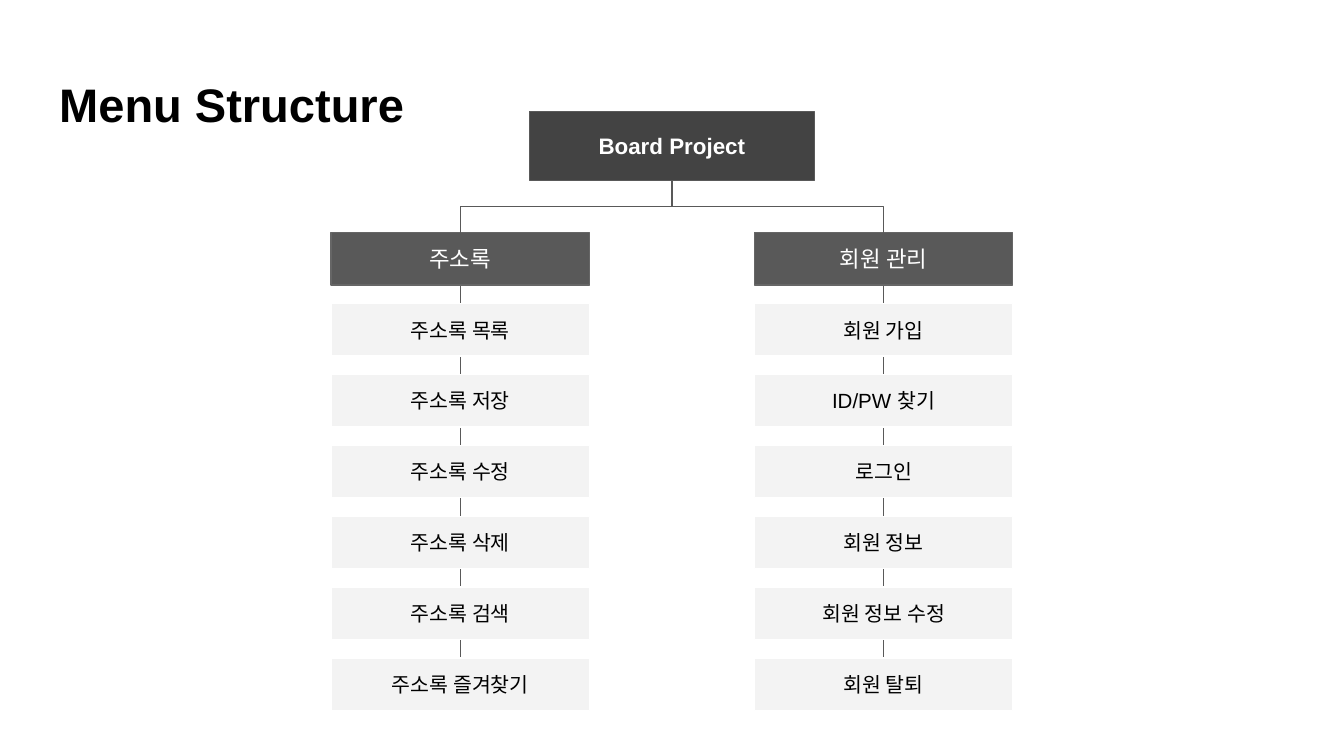
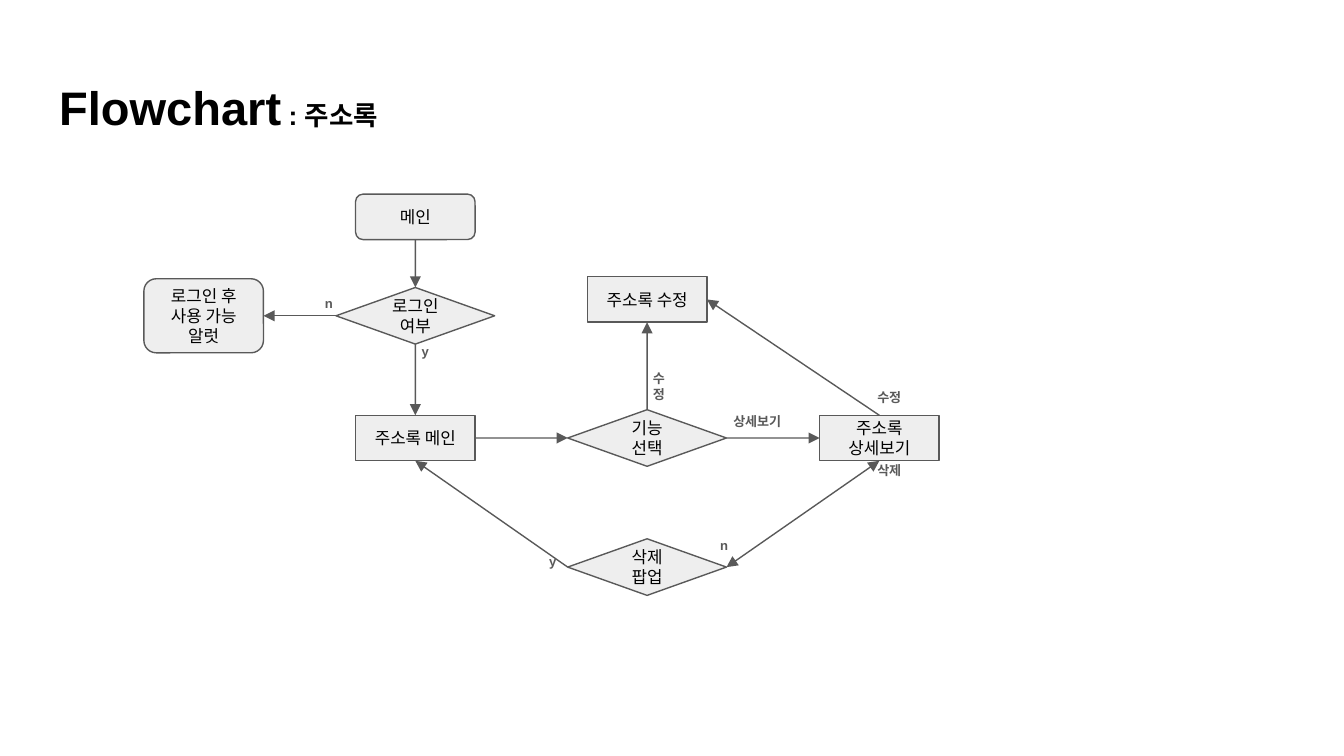
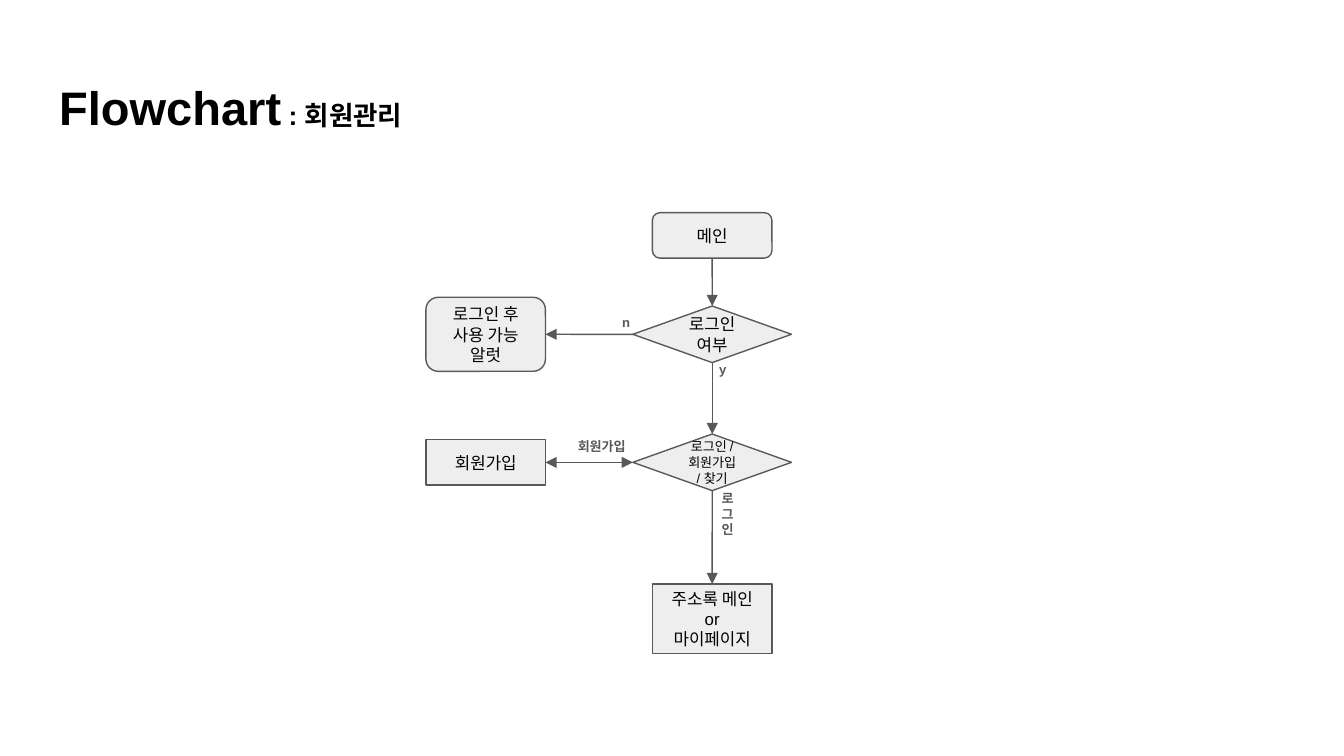
from dataclasses import dataclass

from lxml import etree
from pptx import Presentation
from pptx.dml.color import RGBColor
from pptx.enum.shapes import MSO_CONNECTOR, MSO_SHAPE
from pptx.enum.text import MSO_ANCHOR, MSO_AUTO_SIZE, PP_ALIGN
from pptx.oxml.ns import qn
from pptx.shapes.autoshape import Shape
from pptx.shapes.connector import Connector
from pptx.slide import Slide
from pptx.text.text import TextFrame, _Paragraph
from pptx.util import Cm, Pt

RECTANGLE = MSO_SHAPE.RECTANGLE
ROUNDED = MSO_SHAPE.ROUNDED_RECTANGLE
DECISION = MSO_SHAPE.FLOWCHART_DECISION
STRAIGHT = MSO_CONNECTOR.STRAIGHT
ELBOW = MSO_CONNECTOR.ELBOW
CENTER = PP_ALIGN.CENTER
MIDDLE = MSO_ANCHOR.MIDDLE
GROW = MSO_AUTO_SIZE.SHAPE_TO_FIT_TEXT
TOP, LEFT, BOTTOM, RIGHT = range(4)

FONT = "Arial"
BLACK = "000000"
WHITE = "FFFFFF"
GRAY = "595959"
ROOT_FILL = "434343"
HEADER_LINE = "666666"
ITEM_FILL = "F3F3F3"
NODE_FILL = "EEEEEE"
LINE_WIDTH = Pt(0.75)
INSET = Cm(0.25)

MENU_WIDTH = 4.88
MENU_HEIGHT = 0.99
MENU_TOP = 4.4
MENU_STEP = 1.34
STEM_TOP = 5.3
STEM_BOTTOM = 13.2

NODE_SIZES = {RECTANGLE: (2.26, 0.86), ROUNDED: (2.26, 0.86), DECISION: (3.0, 1.07)}
ALERT_HEIGHT = 1.4


@dataclass(frozen=True)
class Menu:
    center: float
    header: str
    items: tuple[str, ...]


@dataclass(frozen=True)
class Node:
    key: str
    text: str
    x: float
    y: float
    kind: MSO_SHAPE = RECTANGLE
    height: float | None = None
    size: float = 9


@dataclass(frozen=True)
class Link:
    start: str
    start_side: int
    end: str
    end_side: int
    both_ways: bool = False


@dataclass(frozen=True)
class Label:
    text: str
    left: float
    top: float
    width: float = 0.58
    height: float = 0.81


@dataclass(frozen=True)
class Flow:
    topic: str
    title_width: float
    nodes: tuple[Node, ...]
    links: tuple[Link, ...]
    labels: tuple[Label, ...]


MENUS = (
    Menu(8.7, "주소록", ("주소록 목록", "주소록 저장", "주소록 수정",
                      "주소록 삭제", "주소록 검색", "주소록 즐겨찾기")),
    Menu(16.7, "회원 관리", ("회원 가입", "ID/PW 찾기", "로그인",
                         "회원 정보", "회원 정보 수정", "회원 탈퇴")),
)

FLOWS = (
    Flow(
        "주소록", 23.67,
        (
            Node("main", "메인", 7.85, 4.1, ROUNDED),
            Node("login", "로그인여부", 7.85, 5.97, DECISION),
            Node("alert", "로그인 후 사용 가능 알럿", 3.85, 5.97, ROUNDED, ALERT_HEIGHT),
            Node("book", "주소록 메인", 7.85, 8.28),
            Node("choice", "기능 선택", 12.23, 8.28, DECISION),
            Node("edit", "주소록 수정", 12.23, 5.66),
            Node("detail", "주소록 상세보기", 16.62, 8.28),
            Node("delete", "삭제\n팝업", 12.23, 10.72, DECISION),
        ),
        (
            Link("main", BOTTOM, "login", TOP),
            Link("login", LEFT, "alert", RIGHT),
            Link("login", BOTTOM, "book", TOP),
            Link("book", RIGHT, "choice", LEFT),
            Link("choice", TOP, "edit", BOTTOM),
            Link("choice", RIGHT, "detail", LEFT),
            Link("detail", TOP, "edit", RIGHT),
            Link("detail", BOTTOM, "delete", RIGHT, True),
            Link("delete", LEFT, "book", BOTTOM),
        ),
        (
            Label("n", 5.89, 5.44),
            Label("y", 7.72, 6.35),
            Label("수정", 12.09, 6.76, 0.71, 1.12),
            Label("상세보기", 13.61, 7.67, 1.98),
            Label("수정", 16.33, 7.21, 1.65),
            Label("삭제", 16.33, 8.59, 1.22),
            Label("n", 13.36, 10.01),
            Label("y", 10.13, 10.31),
        ),
    ),
    Flow(
        "회원관리", 12.6,
        (
            Node("main", "메인", 13.46, 4.45, ROUNDED),
            Node("login", "로그인여부", 13.46, 6.32, DECISION),
            Node("alert", "로그인 후 사용 가능 알럿", 9.18, 6.32, ROUNDED, ALERT_HEIGHT),
            Node("choice", "로그인 / 회원가입 / 찾기", 13.46, 8.74, DECISION, size=7),
            Node("join", "회원가입", 9.18, 8.74),
            Node("end", "주소록 메인\nor\n마이페이지", 13.46, 11.7, height=1.32),
        ),
        (
            Link("main", BOTTOM, "login", TOP),
            Link("login", LEFT, "alert", RIGHT),
            Link("login", BOTTOM, "choice", TOP),
            Link("choice", LEFT, "join", RIGHT, True),
            Link("choice", BOTTOM, "end", TOP),
        ),
        (
            Label("n", 11.51, 5.79),
            Label("y", 13.34, 6.68),
            Label("회원가입", 10.67, 8.13, 1.88),
            Label("로그인", 13.39, 9.02, 0.58, 1.42),
        ),
    ),
)


def color_of(value: str) -> RGBColor:
    return RGBColor.from_string(value)


def add_span(para: _Paragraph, text: str, *, size: float,
             color: str = BLACK, bold: bool = False) -> None:
    span = para.add_run()
    span.text = text
    span.font.name = FONT
    span.font.size = Pt(size)
    span.font.bold = bold
    span.font.color.rgb = color_of(color)


def prepare_frame(frame: TextFrame) -> None:
    frame.word_wrap = True
    frame.margin_left = frame.margin_right = INSET
    frame.margin_top = frame.margin_bottom = INSET


def add_title(page: Slide, top: float, width: float, text: str, topic: str = "") -> None:
    box = page.shapes.add_textbox(Cm(0.87), Cm(top), Cm(width), Cm(1.6))
    prepare_frame(box.text_frame)
    para = box.text_frame.paragraphs[0]
    add_span(para, text, size=25.2, bold=True)
    if topic:
        add_span(para, f" : {topic}", size=14.2, bold=True)


def add_box(page: Slide, kind: MSO_SHAPE, x: float, y: float, width: float, height: float,
            text: str, *, fill: str, line: str, size: float,
            color: str = BLACK, bold: bool = False) -> Shape:
    box = page.shapes.add_shape(
        kind, Cm(x - width / 2), Cm(y - height / 2), Cm(width), Cm(height))
    box.shadow.inherit = False
    box.fill.solid()
    box.fill.fore_color.rgb = color_of(fill)
    box.line.color.rgb = color_of(line)
    box.line.width = LINE_WIDTH
    frame = box.text_frame
    prepare_frame(frame)
    frame.vertical_anchor = MIDDLE
    for index, row in enumerate(text.split("\n")):
        para = frame.add_paragraph() if index else frame.paragraphs[0]
        para.alignment = CENTER
        add_span(para, row, size=size, color=color, bold=bold)
    return box


def add_line(page: Slide, kind: MSO_CONNECTOR = STRAIGHT, x: float = 0,
             top: float = 0, bottom: float = 0) -> Connector:
    line = page.shapes.add_connector(kind, Cm(x), Cm(top), Cm(x), Cm(bottom))
    line.line.color.rgb = color_of(GRAY)
    line.line.width = LINE_WIDTH
    etree.SubElement(line._element.spPr, qn("a:effectLst"))
    return line


def add_branch(page: Slide, root: Shape, header: Shape) -> None:
    branch = add_line(page, ELBOW)
    branch.begin_connect(root, BOTTOM)
    branch.end_connect(header, TOP)
    start_x, start_y = root.left + root.width // 2, root.top + root.height
    end_x, end_y = header.left + header.width // 2, header.top
    drop, reach = end_y - start_y, abs(end_x - start_x)
    branch.left = (start_x + end_x - drop) // 2
    branch.top = (start_y + end_y - reach) // 2
    branch.width, branch.height = drop, reach
    goes_right = end_x > start_x
    frame = branch._element.spPr.find(qn("a:xfrm"))
    frame.set("rot", "16200000" if goes_right else "5400000")
    frame.set("flipH", "1" if goes_right else "0")
    frame.set("flipV", "0")


def add_link(page: Slide, link: Link, boxes: dict[str, Shape]) -> None:
    line = add_line(page)
    line.begin_connect(boxes[link.start], link.start_side)
    line.end_connect(boxes[link.end], link.end_side)
    outline = line._element.spPr.find(qn("a:ln"))
    for tag in ("a:headEnd", "a:tailEnd") if link.both_ways else ("a:tailEnd",):
        etree.SubElement(outline, qn(tag), type="triangle")


def add_label(page: Slide, label: Label) -> None:
    box = page.shapes.add_textbox(
        Cm(label.left), Cm(label.top), Cm(label.width), Cm(label.height))
    prepare_frame(box.text_frame)
    box.text_frame.auto_size = GROW
    add_span(box.text_frame.paragraphs[0], label.text, size=7, color=GRAY, bold=True)


def build_menu_page(page: Slide) -> None:
    add_title(page, 1.17, 23.67, "Menu Structure")
    for menu in MENUS:
        add_line(page, STRAIGHT, menu.center, STEM_TOP, STEM_BOTTOM)
    root = add_box(page, RECTANGLE, 12.7, 2.76, 5.38, 1.3, "Board Project",
                   fill=ROOT_FILL, line=GRAY, size=12, color=WHITE, bold=True)
    for menu in MENUS:
        y = MENU_TOP + MENU_HEIGHT / 2
        header = add_box(page, RECTANGLE, menu.center, y, MENU_WIDTH, MENU_HEIGHT,
                         menu.header, fill=GRAY, line=HEADER_LINE, size=12, color=WHITE)
        add_branch(page, root, header)
        for row, item in enumerate(menu.items, start=1):
            add_box(page, RECTANGLE, menu.center, y + row * MENU_STEP, MENU_WIDTH,
                    MENU_HEIGHT, item, fill=ITEM_FILL, line=WHITE, size=11)


def build_flow_page(page: Slide, flow: Flow) -> None:
    add_title(page, 1.24, flow.title_width, "Flowchart", flow.topic)
    boxes = {}
    for node in flow.nodes:
        width, height = NODE_SIZES[node.kind]
        boxes[node.key] = add_box(
            page, node.kind, node.x, node.y, width, node.height or height, node.text,
            fill=NODE_FILL, line=GRAY, size=node.size)
    for link in flow.links:
        add_link(page, link, boxes)
    for label in flow.labels:
        add_label(page, label)


def main() -> None:
    deck = Presentation()
    deck.slide_width = Cm(25.4)
    deck.slide_height = Cm(14.29)
    blank = deck.slide_layouts[6]
    build_menu_page(deck.slides.add_slide(blank))
    for flow in FLOWS:
        build_flow_page(deck.slides.add_slide(blank), flow)
    deck.save("out.pptx")


if __name__ == "__main__":
    main()
